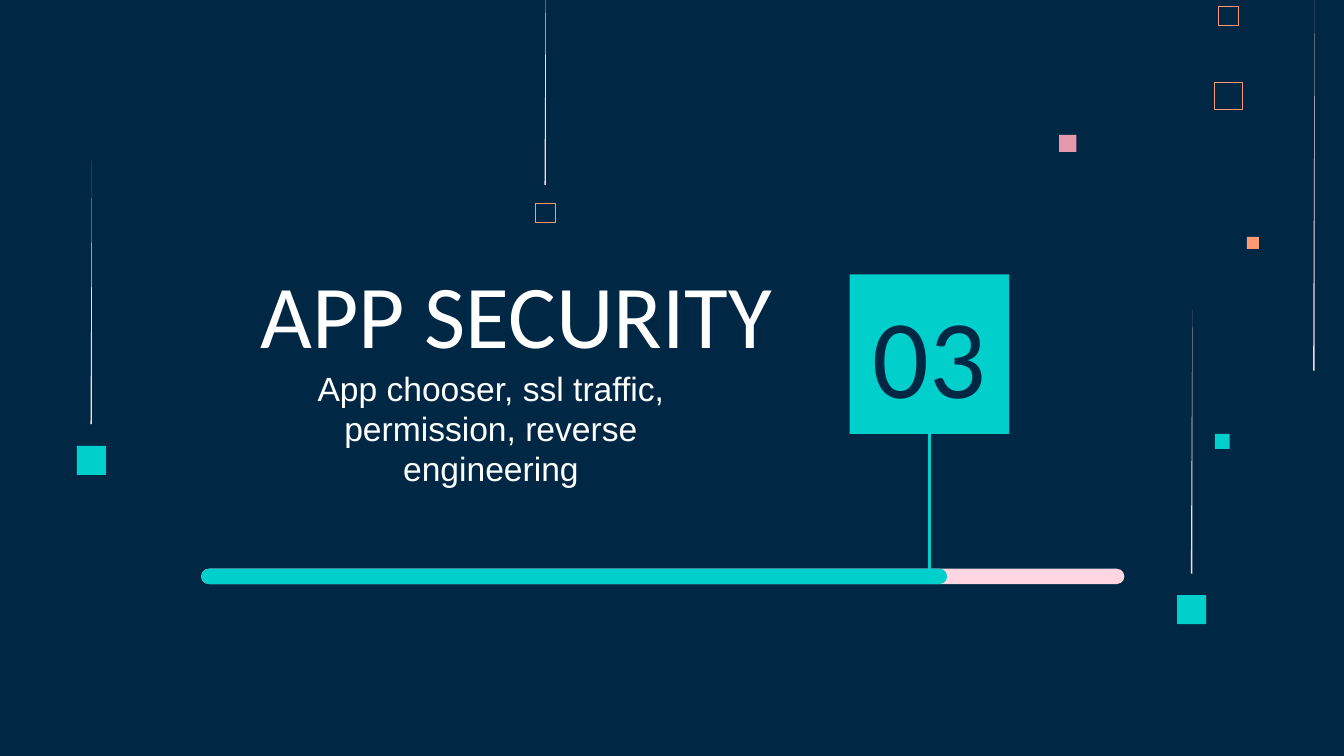
from dataclasses import dataclass

from lxml import etree
from pptx import Presentation
from pptx import util as u
from pptx.dml.color import RGBColor
from pptx.enum import shapes, text


@dataclass(frozen=True)
class Theme:
    navy: str = "002845"
    teal: str = "00CFCC"
    orange: str = "FF9973"
    rose: str = "E898AC"
    blush: str = "FFD6E1"
    white: str = "FFFFFF"
    heading_font: str = "Calibri"
    body_font: str = "Arial"
    title_size: float = 48
    subtitle_size: float = 18
    subtitle_leading: float = 21.4
    number_size: float = 60


THEME = Theme()
STREAK_WIDTH = 0.8


def color(value):
    return RGBColor.from_string(value)


def paint(shape, fill=None, line=None, weight=0.4):
    shape.shadow.inherit = False
    if fill:
        shape.fill.solid()
        shape.fill.fore_color.rgb = color(fill)
    else:
        shape.fill.background()
    if line:
        shape.line.color.rgb = color(line)
        shape.line.width = u.Pt(weight)
    else:
        shape.line.fill.background()


def add_square(page, left, top, side, **style):
    square = page.shapes.add_shape(
        shapes.MSO_SHAPE.RECTANGLE, u.Pt(left), u.Pt(top), u.Pt(side), u.Pt(side))
    paint(square, **style)
    return square


def add_streak(page, left, top, bottom):
    """Thin wedge that widens from its top point to its foot."""
    right = left + STREAK_WIDTH
    builder = page.shapes.build_freeform(u.Pt(right), u.Pt(top))
    builder.add_line_segments(
        [(u.Pt(left), u.Pt(bottom)), (u.Pt(right), u.Pt(bottom))], close=True)
    paint(builder.convert_to_shape(), fill=THEME.blush)


def add_bar(page, left, top, width, height, fill):
    bar = page.shapes.add_shape(
        shapes.MSO_SHAPE.ROUNDED_RECTANGLE,
        u.Pt(left), u.Pt(top), u.Pt(width), u.Pt(height))
    bar.adjustments[0] = 0.5
    paint(bar, fill=fill)


def add_label(page, frame, words, font, size, fill, anchor, leading=None):
    box = page.shapes.add_textbox(*(u.Pt(length) for length in frame))
    body = box.text_frame
    body.word_wrap = True
    body.vertical_anchor = anchor
    body.margin_left = body.margin_right = u.Pt(7.2)
    body.margin_top = body.margin_bottom = u.Pt(7.2)
    para = body.paragraphs[0]
    para.alignment = text.PP_ALIGN.CENTER
    if leading:
        para.line_spacing = u.Pt(leading)
    span = para.add_run()
    span.text = words
    span.font.name = font
    span.font.size = u.Pt(size)
    span.font.color.rgb = color(fill)


def add_stem(page, block, bottom):
    """Line from the middle of the block's lower side down to the bar."""
    middle = block.left + block.width // 2
    stem = page.shapes.add_connector(
        shapes.MSO_CONNECTOR.STRAIGHT,
        middle, block.top + block.height, middle, u.Pt(bottom))
    stem.begin_connect(block, 2)
    stem.line.color.rgb = color(THEME.teal)
    stem.line.width = u.Pt(1.5)
    properties = stem.line._get_or_add_ln().getparent()
    etree.SubElement(
        properties, "{http://schemas.openxmlformats.org/drawingml/2006/main}effectLst")


def add_decoration(page):
    # Solid squares: left, top, side, colour
    for left, top, side, fill in (
        (567.4, 72.2, 9.2, THEME.rose),
        (650.8, 232.5, 8, THEME.teal),
        (668, 127, 6.4, THEME.orange),
        (630.6, 318.8, 15.6, THEME.teal),
        (41.2, 238.9, 15.6, THEME.teal),
    ):
        add_square(page, left, top, side, fill=fill)
    # Outlined squares: left, top, side, line weight
    for left, top, side, weight in (
        (650.6, 44, 14.9, 0.45),
        (652.8, 3.4, 10.4, 0.32),
        (286.9, 108.9, 10.4, 0.32),
    ):
        add_square(page, left, top, side, line=THEME.orange, weight=weight)
    # Falling streaks: left, top, bottom
    for left, top, bottom in (
        (291.7, -34.6, 99),
        (703.5, 0, 198.5),
        (638, 166, 307.3),
        (48.5, 86, 227.2),
    ):
        add_streak(page, left, top, bottom)


def main():
    deck = Presentation()
    deck.slide_width, deck.slide_height = u.Pt(720), u.Pt(405)
    page = deck.slides.add_slide(deck.slide_layouts[6])
    page.background.fill.solid()
    page.background.fill.fore_color.rgb = color(THEME.navy)

    add_decoration(page)

    # Section title and summary
    add_label(page, (88.5, 137.5, 376.5, 66.2), "APP SECURITY", THEME.heading_font,
              THEME.title_size, THEME.white, text.MSO_ANCHOR.BOTTOM)
    add_label(page, (141, 190, 244, 82.8),
              "App chooser, ssl traffic, permission, reverse engineering",
              THEME.body_font, THEME.subtitle_size, THEME.white,
              text.MSO_ANCHOR.TOP, THEME.subtitle_leading)

    # Section number
    block = add_square(page, 455.2, 147, 85.5, fill=THEME.teal)
    add_label(page, (459.4, 167, 77, 45.4), "03", THEME.heading_font,
              THEME.number_size, THEME.navy, text.MSO_ANCHOR.MIDDLE)

    # Progress bar: full track, then the part done
    for width, fill in ((494.6, THEME.blush), (399.6, THEME.teal)):
        add_bar(page, 107.8, 304.7, width, 8.2, fill)
    add_stem(page, block, 309.4)

    deck.save("out.pptx")


if __name__ == "__main__":
    main()
